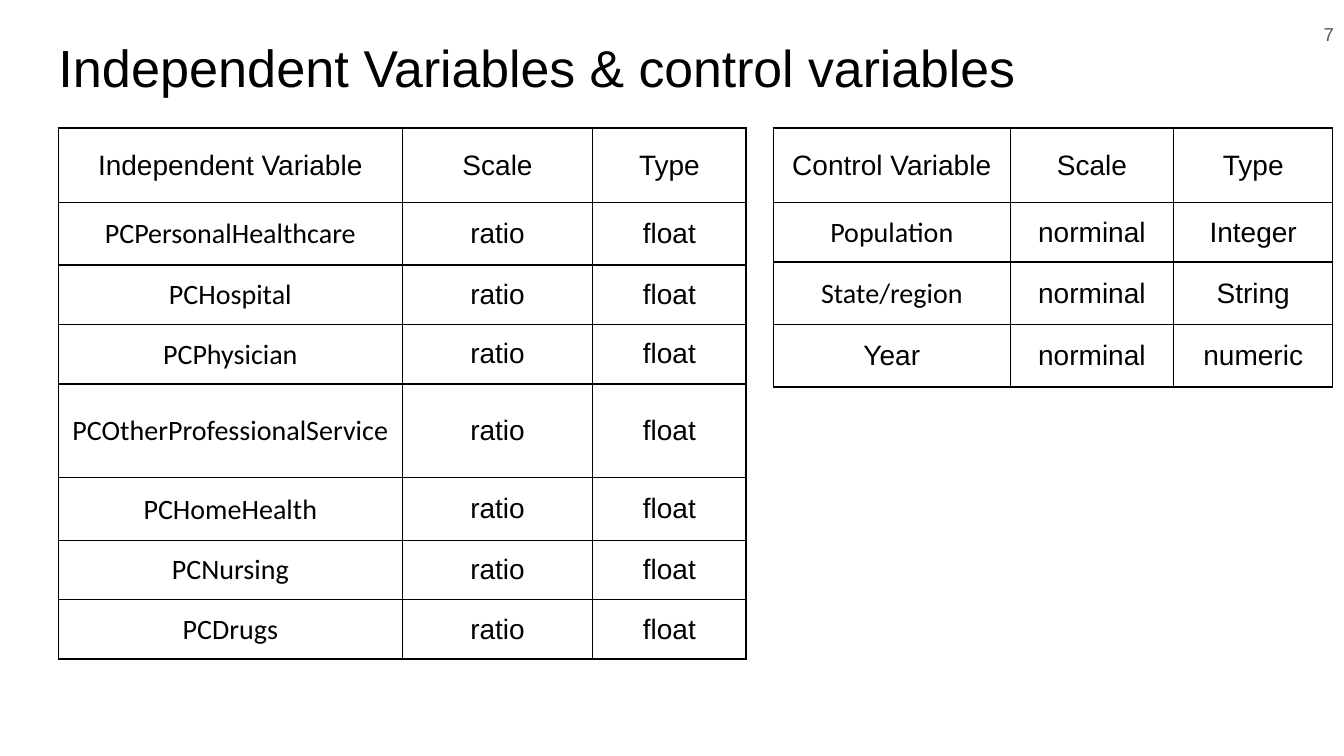
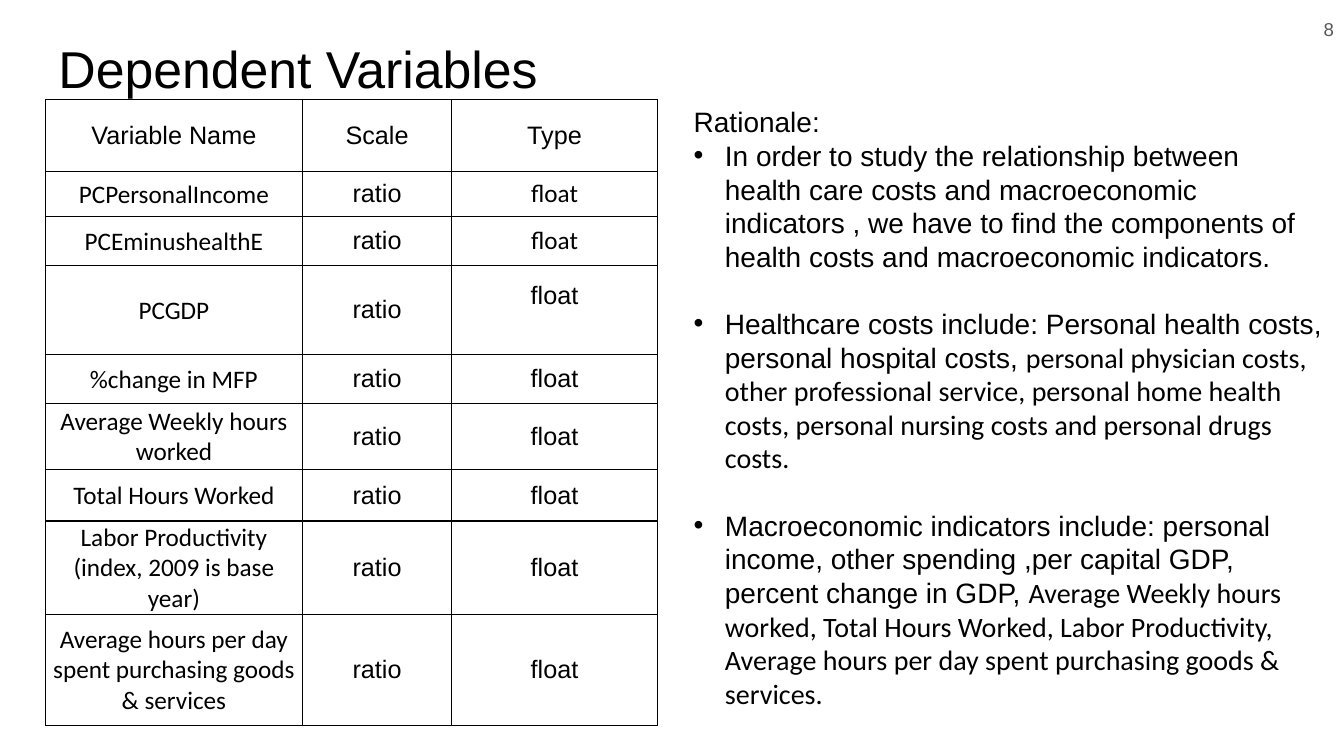
import pptx
import pptx.dml.color
import pptx.enum.text
import pptx.oxml
import pptx.oxml.ns
import pptx.util

Inches, Pt = pptx.util.Inches, pptx.util.Pt
PP_ALIGN = pptx.enum.text.PP_ALIGN
ANCHOR = pptx.enum.text.MSO_ANCHOR

# Shared style
COLORS = {"text": "000000", "number": "595959", "paper": "FFFFFF", "border": "000000"}
ARIAL, CALIBRI = "Arial", "Calibri"
CELL_INSETS = (0.13, 0.07, 0.13, 0.07)
NAME_INSETS = (0.01, 0.01, 0.01, 0)
RAISED_INSETS = (0.13, 0.07, 0.13, 0.35)

# Content: a cell is a text, or a dict where font or insets differ from its column
INDEPENDENT = [("Independent Variable", "Scale", "Type")] + [
    (name, "ratio", "float") for name in (
        "PCPersonalHealthcare", "PCHospital", "PCPhysician",
        "PCOtherProfessionalService", "PCHomeHealth", "PCNursing", "PCDrugs")]
CONTROL = [
    ("Control Variable", "Scale", "Type"),
    ("Population", "norminal", "Integer"),
    ("State/region", "norminal", "String"),
    ({"text": "Year", "font": ARIAL}, "norminal", "numeric"),
]
CALIBRI_FLOAT = {"text": "float", "font": CALIBRI}
DEPENDENT = [
    ("Variable Name", "Scale", "Type"),
    ("PCPersonalIncome", "ratio", CALIBRI_FLOAT),
    ("PCEminushealthE", "ratio", CALIBRI_FLOAT),
    ("PCGDP", "ratio", {"text": "float", "insets": RAISED_INSETS}),
    ("%change in MFP", "ratio", "float"),
    ("Average Weekly hours worked", "ratio", "float"),
    ("Total Hours Worked", "ratio", "float"),
    ("Labor Productivity (index, 2009 is base year)", "ratio", "float"),
    ("Average hours per day spent purchasing goods & services", "ratio", "float"),
]
RATIONALE_HEADING = "Rationale:"
RATIONALE_POINTS = [
    [("In order to study the relationship between health care costs and macroeconomic "
      "indicators , we have to find the components of health costs and macroeconomic "
      "indicators.", ARIAL)],
    [("Healthcare costs include: Personal health costs, personal hospital costs, ", ARIAL),
     ("personal physician costs, other professional service, personal home health costs, "
      "personal nursing costs and personal drugs costs.", CALIBRI)],
    [("Macroeconomic indicators include: personal income, other spending ,per capital GDP, "
      "percent change in GDP, ", ARIAL),
     ("Average Weekly hours worked, Total Hours Worked, Labor Productivity, Average hours "
      "per day spent purchasing goods & services.", CALIBRI)],
]

SLIDES = [
    {
        "title": [("Independent ", 37.3), ("Variables & control variables", 37)],
        "title_box": (0.45, 0.15, 12.42, 0.59),
        "number": "7", "number_top": 0.05,
        "tables": [
            {"rows": INDEPENDENT, "at": (0.58, 1.27), "size": 20,
             "widths": (3.41, 1.89, 1.52),
             "heights": (0.74, 0.62, 0.59, 0.59, 0.93, 0.62, 0.59, 0.59)},
            {"rows": CONTROL, "at": (7.67, 1.27), "size": 20,
             "widths": (2.35, 1.62, 1.58),
             "heights": (0.74, 0.59, 0.62, 0.62)},
        ],
    },
    {
        "title": [("Dependent Variables", 37)],
        "title_box": (0.45, 0.16, 12.42, 0.84),
        "number": "8", "number_top": 0,
        "tables": [
            {"rows": DEPENDENT, "at": (0.45, 0.99), "size": 18,
             "widths": (2.55, 1.48, 2.04),
             "heights": (0.71, 0.45, 0.48, 0.89, 0.48, 0.66, 0.51, 0.92, 1.1)},
        ],
        "rationale_box": (6.78, 0.99, 6.45, 6.3),
    },
]


def add_run(paragraph, text, size, font=ARIAL, color="text"):
    run = paragraph.add_run()
    run.text = text
    run.font.size = Pt(size)
    run.font.name = font
    run.font.color.rgb = pptx.dml.color.RGBColor.from_string(COLORS[color])


def place(shape, box):
    shape.left, shape.top, shape.width, shape.height = map(Inches, box)


def set_insets(target, insets):
    (target.margin_left, target.margin_top,
     target.margin_right, target.margin_bottom) = map(Inches, insets)


def set_up_frame(frame, insets, anchor):
    frame.word_wrap = True
    frame.auto_size = pptx.enum.text.MSO_AUTO_SIZE.NONE
    frame.vertical_anchor = anchor
    set_insets(frame, insets)


def add_borders(cell):
    properties = cell._tc.get_or_add_tcPr()
    for side in ("lnL", "lnR", "lnT", "lnB"):
        properties.append(pptx.oxml.parse_xml(
            f'<a:{side} {pptx.oxml.ns.nsdecls("a")} w="{Pt(1)}"><a:solidFill>'
            f'<a:srgbClr val="{COLORS["border"]}"/></a:solidFill></a:{side}>'))


def set_bullet(paragraph, bullet, indent):
    properties = paragraph._p.get_or_add_pPr()
    properties.set("marL", str(Inches(indent)))
    properties.set("indent", str(Inches(-indent)))
    kind = f'buChar char="{bullet}"' if bullet else "buNone"
    if bullet:
        properties.append(pptx.oxml.parse_xml(
            f'<a:buFont {pptx.oxml.ns.nsdecls("a")} typeface="{ARIAL}"/>'))
    properties.append(pptx.oxml.parse_xml(f'<a:{kind.replace(" ", " " + pptx.oxml.ns.nsdecls("a") + " ")}/>'
                                          if bullet else
                                          f'<a:{kind} {pptx.oxml.ns.nsdecls("a")}/>'))


def add_title(slide, runs, box):
    title = slide.shapes.title
    place(title, box)
    set_up_frame(title.text_frame, (0.13, 0.2, 0.13, 0.13), ANCHOR.TOP)
    paragraph = title.text_frame.paragraphs[0]
    paragraph.alignment = PP_ALIGN.LEFT
    for text, size in runs:
        add_run(paragraph, text, size)


def add_number(slide, number, top):
    box = slide.shapes.add_textbox(*map(Inches, (12.53, top, 0.8, 0.57)))
    set_up_frame(box.text_frame, (0.1,) * 4, ANCHOR.MIDDLE)
    paragraph = box.text_frame.paragraphs[0]
    paragraph.alignment = PP_ALIGN.RIGHT
    add_run(paragraph, number, 13.3, color="number")


def add_variable_table(slide, rows, at, size, widths, heights):
    box = (*at, sum(widths), sum(heights))
    table = slide.shapes.add_table(len(rows), len(widths), *map(Inches, box)).table
    table.first_row = table.horz_banding = False
    for column, width in zip(table.columns, widths):
        column.width = Inches(width)
    for row, height in zip(table.rows, heights):
        row.height = Inches(height)
    for r, row in enumerate(rows):
        for c, entry in enumerate(row):
            is_name = r > 0 and c == 0
            look = {"font": CALIBRI if is_name else ARIAL,
                    "insets": NAME_INSETS if is_name else CELL_INSETS}
            look.update(entry if isinstance(entry, dict) else {"text": entry})
            cell = table.cell(r, c)
            set_insets(cell, look["insets"])
            cell.vertical_anchor = ANCHOR.MIDDLE
            add_borders(cell)
            cell.fill.solid()
            cell.fill.fore_color.rgb = pptx.dml.color.RGBColor.from_string(COLORS["paper"])
            paragraph = cell.text_frame.paragraphs[0]
            paragraph.alignment = PP_ALIGN.CENTER
            add_run(paragraph, look["text"], size, look["font"])


def add_rationale(slide, box):
    rationale = slide.placeholders[1]
    place(rationale, box)
    frame = rationale.text_frame
    set_up_frame(frame, (0.1, 0.05, 0.1, 0.05), ANCHOR.TOP)
    for i, runs in enumerate([[(RATIONALE_HEADING, ARIAL)]] + RATIONALE_POINTS):
        paragraph = frame.add_paragraph() if i else frame.paragraphs[0]
        paragraph.line_spacing = Pt(24)
        paragraph.space_before = Pt(24 if i > 1 else 0)
        paragraph.space_after = Pt(0)
        set_bullet(paragraph, "•" if i else None, 0.31 if i else 0)
        for text, font in runs:
            add_run(paragraph, text, 20, font)


def main():
    deck = pptx.Presentation()
    deck.slide_width, deck.slide_height = Inches(13.33), Inches(7.5)
    title_and_content, title_only = deck.slide_layouts[1], deck.slide_layouts[5]
    for content in SLIDES:
        has_rationale = "rationale_box" in content
        slide = deck.slides.add_slide(title_and_content if has_rationale else title_only)
        add_title(slide, content["title"], content["title_box"])
        for table in content["tables"]:
            add_variable_table(slide, **table)
        add_number(slide, content["number"], content["number_top"])
        if has_rationale:
            add_rationale(slide, content["rationale_box"])
    deck.save("out.pptx")


if __name__ == "__main__":
    main()
